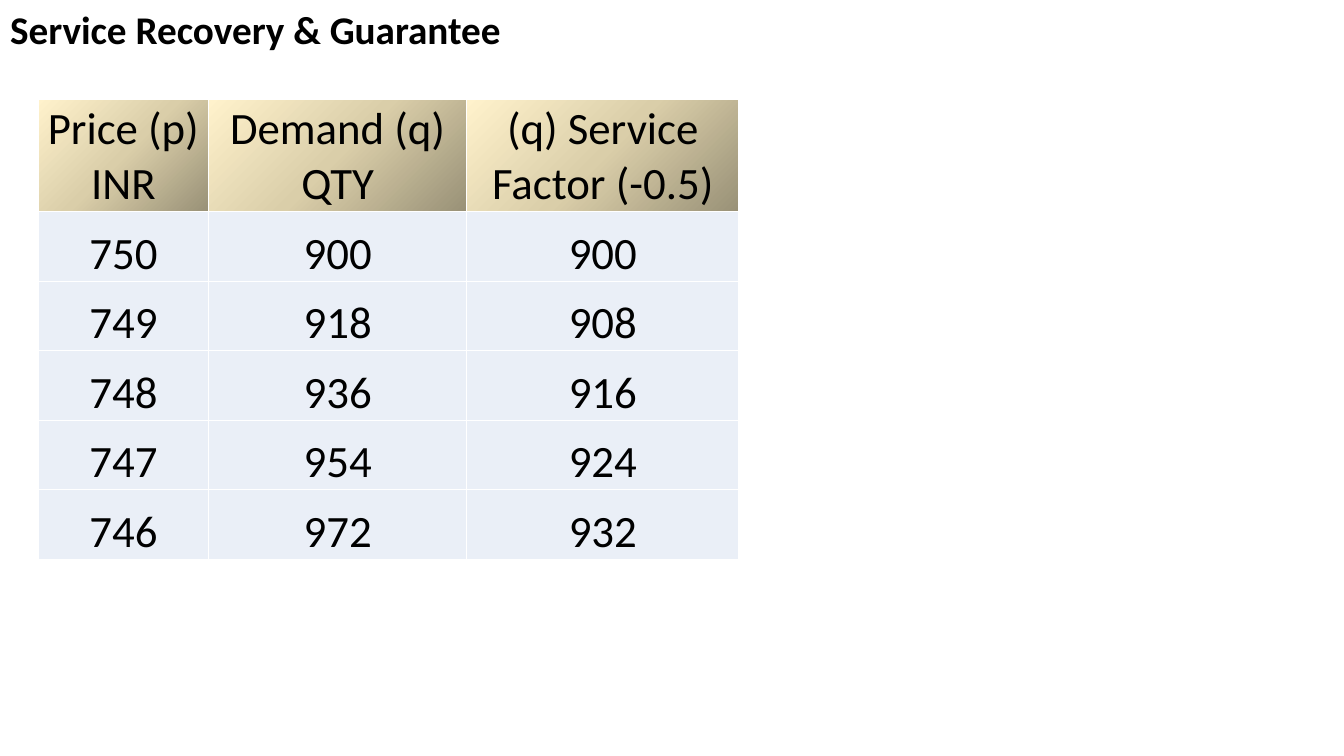
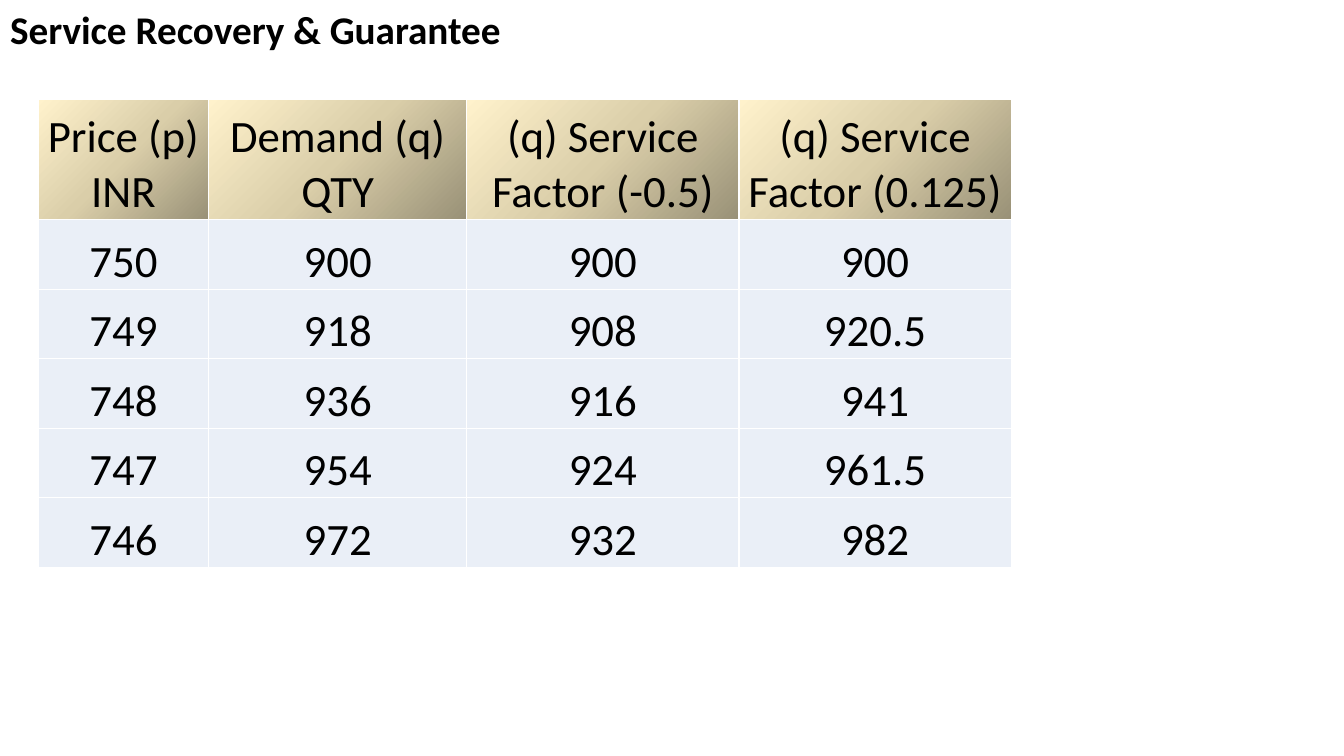
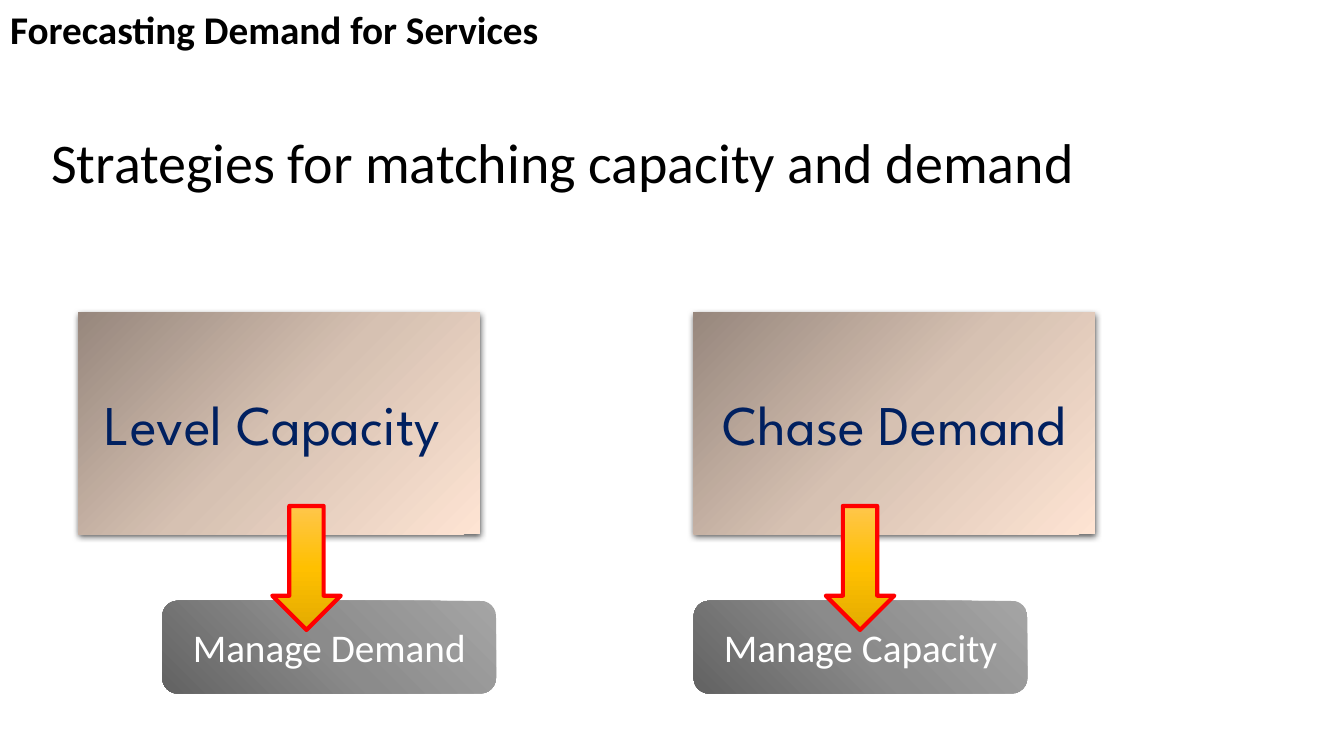
from lxml import etree
from pptx import Presentation
from pptx.dml.color import RGBColor
from pptx.enum.shapes import MSO_SHAPE
from pptx.enum.text import MSO_ANCHOR, MSO_AUTO_SIZE, PP_ALIGN
from pptx.oxml.ns import qn
from pptx.util import Inches, Pt

RECT, ROUND, DOWN = MSO_SHAPE.RECTANGLE, MSO_SHAPE.ROUNDED_RECTANGLE, MSO_SHAPE.DOWN_ARROW
TOP, MIDDLE, BOTTOM = MSO_ANCHOR.TOP, MSO_ANCHOR.MIDDLE, MSO_ANCHOR.BOTTOM
LEFT, CENTER = PP_ALIGN.LEFT, PP_ALIGN.CENTER
GROW = MSO_AUTO_SIZE.SHAPE_TO_FIT_TEXT

COLORS = {"ink": "000000", "paper": "FFFFFF", "navy": "002060", "red": "FF0000", "row": "EAEFF7"}
# Each gradient has its stops, then the sides of its focus or its angle.
GRADS = {
    "gold": (("999177", "DACEA9", "FFF2CC"), "lt"),
    "peach": (("97877D", "D6C1B2", "FEE4D3"), "rb"),
    "gray": (("626262", "8B8B8B", "A5A5A5"), "tr"),
    "amber": (("FFC64B", "FFC000", "E3AB00"), 90),
}


def add(node, tag, **attrs):
    return etree.SubElement(node, qn(tag), {key: str(val) for key, val in attrs.items()})


def tint(node, color):
    return add(node, "a:srgbClr", val=COLORS.get(color, color))


def shade(fill, props, name):
    """Give the fill, held by the XML node props, a named gradient."""
    stops, way = GRADS[name]
    fill.gradient()
    grad = props.find(qn("a:gradFill"))
    grad.clear()
    grad.set("rotWithShape", "1")
    group = add(grad, "a:gsLst")
    for i, color in enumerate(stops):
        tint(add(group, "a:gs", pos=i * 50000), color)
    if isinstance(way, str):
        focus = add(grad, "a:path", path="circle")
        add(focus, "a:fillToRect", **{side: 100000 for side in way})
    else:
        add(grad, "a:lin", ang=way * 60000, scaled=0)


class Deck:
    font = "Calibri"

    def __init__(self):
        self.prs = Presentation()
        self.prs.slide_width, self.prs.slide_height = Inches(13.33), Inches(7.5)
        self.slide = None

    def put(self, frame, text, size, color="ink", font=None, bold=False, align=LEFT, **look):
        """Set the text of a frame with its format."""
        frame.text = text
        for key, val in look.items():
            setattr(frame, key, val)
        para = frame.paragraphs[0]
        para.alignment = align
        style = {"size": Pt(size), "name": font or self.font, "bold": bold}
        for run in para.runs:
            for key, val in style.items():
                setattr(run.font, key, val)
            run.font.color.rgb = RGBColor.from_string(COLORS[color])

    def page(self, title):
        self.slide = self.prs.slides.add_slide(self.prs.slide_layouts[5])
        head = self.slide.shapes.title
        place = {"left": 0, "top": 0, "width": 5.54, "height": 0.57}
        for key, val in place.items():
            setattr(head, key, Inches(val))
        self.put(head.text_frame, title, 28, bold=True, vertical_anchor=TOP,
                 word_wrap=True, auto_size=GROW)

    def label(self, at, text, size):
        box = self.slide.shapes.add_textbox(*map(Inches, at))
        self.put(box.text_frame, text, size, word_wrap=False, auto_size=GROW)

    def shape(self, kind, at, grad, text="", line=None, shadow=False, **style):
        item = self.slide.shapes.add_shape(kind, *map(Inches, at))
        props = item._element.spPr
        shade(item.fill, props, grad)
        if line:
            item.line.color.rgb = RGBColor.from_string(COLORS[line])
            item.line.width = Pt(3)
        else:
            item.line.fill.background()
        item.shadow.inherit = False
        if shadow:
            drop = add(props.find(qn("a:effectLst")), "a:outerShdw", blurRad=Pt(4.5),
                       dist=Pt(1.5), dir=5400000, algn="ctr", rotWithShape=0)
            add(tint(drop, "ink"), "a:alpha", val=63000)
        if text:
            self.put(item.text_frame, text, align=CENTER, vertical_anchor=MIDDLE, **style)

    def cell(self, cell, text, head):
        margins = {"margin_left": 0.01, "margin_right": 0.01, "margin_top": 0.01, "margin_bottom": 0}
        for key, val in margins.items():
            setattr(cell, key, Inches(val))
        cell.vertical_anchor = BOTTOM
        self.put(cell.text_frame, text, 32, align=CENTER)
        props = cell._tc.get_or_add_tcPr()
        for side in ("a:lnL", "a:lnR", "a:lnT", "a:lnB"):
            tint(add(add(props, side, w=Pt(1)), "a:solidFill"), "paper")
        if head:
            shade(cell.fill, props, "gold")
        else:
            cell.fill.solid()
            cell.fill.fore_color.rgb = RGBColor.from_string(COLORS["row"])

    def table(self, left, top, widths, first, rows):
        """Draw rows, the first of them a header of the height first."""
        heights = [first] + [0.69] * (len(rows) - 1)
        size = map(Inches, (left, top, sum(widths), sum(heights)))
        table = self.slide.shapes.add_table(len(rows), len(widths), *size).table
        table.first_row = table.horz_banding = False
        for col, width in zip(table.columns, widths):
            col.width = Inches(width)
        for r, (row, height) in enumerate(zip(rows, heights)):
            table.rows[r].height = Inches(height)
            for c, text in enumerate(row):
                self.cell(table.cell(r, c), text, r == 0)


DEMAND = [
    ("Price (p)\vINR", "Demand (q)\vQTY", "(q) Service Factor (-0.5)", "(q) Service Factor (0.125)"),
    ("750", "900", "900", "900"),
    ("749", "918", "908", "920.5"),
    ("748", "936", "916", "941"),
    ("747", "954", "924", "961.5"),
    ("746", "972", "932", "982"),
]
WIDTHS = (1.69, 2.56, 2.7, 2.7)
# Box, pill and arrow: left edge of each, with the texts of box and pill.
PLANS = [
    (0.78, "Level Capacity ", 1.61, "Manage Demand", 2.7),
    (6.88, "Chase Demand", 6.88, "Manage Capacity", 8.19),
]


def main():
    deck = Deck()
    for cols, first in ((3, 1.11), (4, 1.19)):
        deck.page("Service Recovery & Guarantee")
        deck.table(0.38, 0.99, WIDTHS[:cols], first, [row[:cols] for row in DEMAND])

    deck.page("Forecasting Demand for Services")
    deck.label((0.41, 1.22, 10.45, 0.77), "Strategies for matching capacity and demand", 40)
    for box, plan, pill, task, arrow in PLANS:
        deck.shape(RECT, (box, 3.1, 3.98, 2.2), "peach", plan, shadow=True,
                   size=40, color="navy", font="League Spartan")
        deck.shape(ROUND, (pill, 5.96, 3.31, 0.92), "gray", task, size=28, color="paper")
        deck.shape(DOWN, (arrow, 5.02, 0.68, 1.23), "amber", line="red")
    deck.prs.save("out.pptx")


if __name__ == "__main__":
    main()
